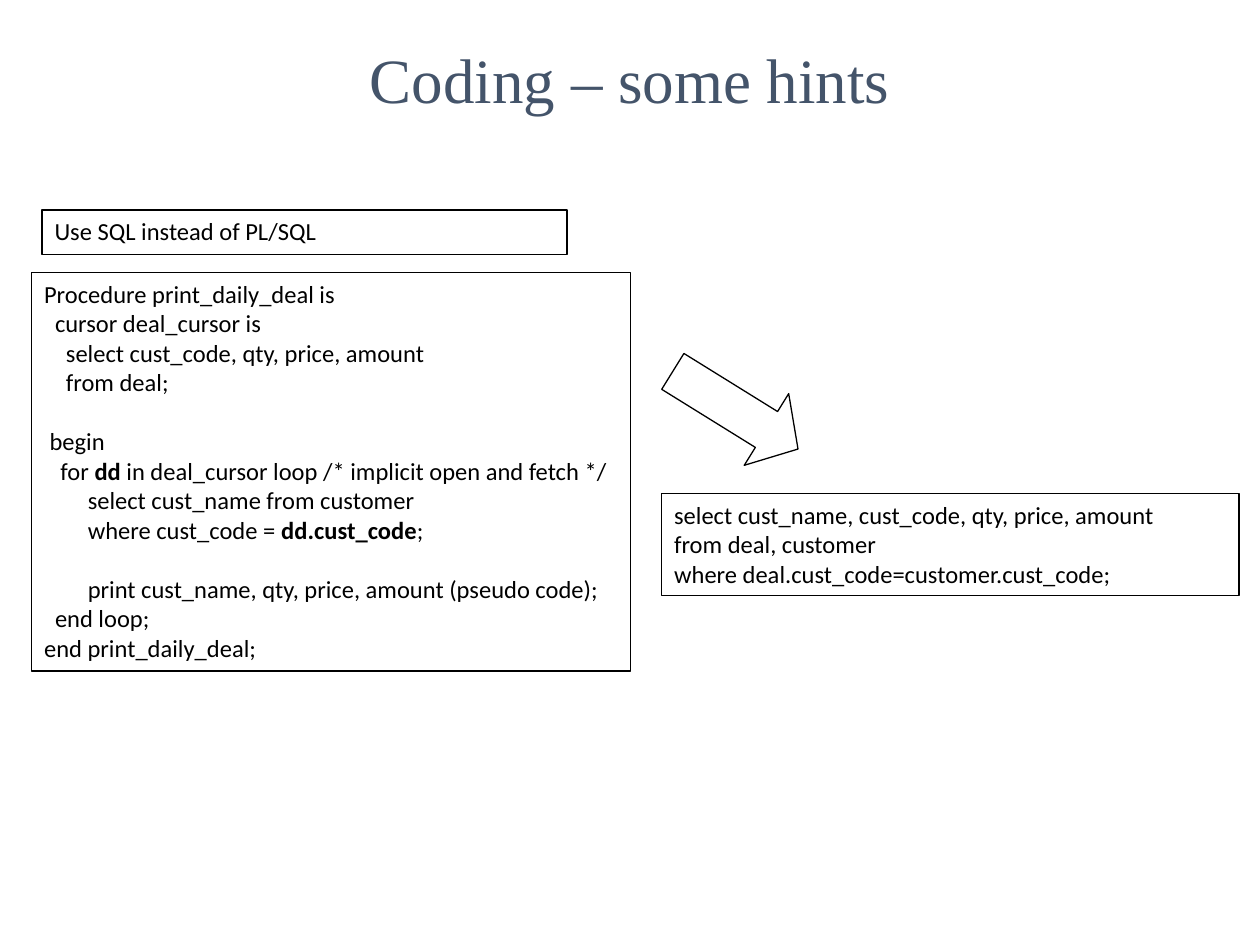
from pptx import Presentation
from pptx.dml.color import RGBColor
from pptx.enum.shapes import MSO_SHAPE
from pptx.enum.text import MSO_ANCHOR, MSO_AUTO_SIZE, PP_ALIGN
from pptx.util import Cm, Pt

SPACE_CM = 0.11
BLANK_LINE_PT = 17

HINT = [(0, 0, "Use SQL instead of PL/SQL")]

JOIN_QUERY = [
    (0, 0, "select cust_name, cust_code, qty, price, amount"),
    (0, 0, "from deal, customer"),
    (0, 0, "where deal.cust_code=customer.cust_code;"),
]

PROCEDURE = [
    (0, 0, "Procedure print_daily_deal is"),
    (2, 0, "cursor deal_cursor is"),
    (4, 0, "select cust_code, qty, price, amount"),
    (4, 0, "from deal;"),
    (1, 1, "begin"),
    (3, 0, "for |dd| in deal_cursor loop /* implicit open and fetch */"),
    (8, 0, "select cust_name from customer"),
    (8, 0, "where cust_code = |dd.cust_code|;"),
    (8, 1, "print cust_name, qty, price, amount (pseudo code);"),
    (2, 0, "end loop;"),
    (0, 0, "end print_daily_deal;"),
]


def color(value):
    return RGBColor.from_string(value)


class SlideBuilder:
    title_font, title_size, title_color = "Times New Roman", 36, "44546A"
    body_font, body_size, ink = "Calibri", 14, "000000"

    def __init__(self, slide):
        self.s = slide

    def set_font(self, p, name, size, value):
        p.font.name = name
        p.font.size = Pt(size)
        p.font.color.rgb = color(value)

    def title(self, text, left, top, width, height):
        sp = self.s.shapes.title
        sp.left, sp.top, sp.width, sp.height = map(Cm, (left, top, width, height))
        tf = sp.text_frame
        tf.text = text
        tf.auto_size = MSO_AUTO_SIZE.NONE
        tf.vertical_anchor = MSO_ANCHOR.MIDDLE
        p = tf.paragraphs[0]
        p.alignment = PP_ALIGN.CENTER
        self.set_font(p, self.title_font, self.title_size, self.title_color)

    def outline(self, kind, left, top, width, height, weight=0.75):
        sp = self.s.shapes.add_shape(kind, *map(Cm, (left, top, width, height)))
        sp.shadow.inherit = False
        sp.fill.background()
        sp.line.color.rgb = color(self.ink)
        sp.line.width = Pt(weight)
        return sp

    def code_box(self, lines, left, top, width, height, weight=0.75):
        sp = self.outline(MSO_SHAPE.RECTANGLE, left, top, width, height, weight)
        tf = sp.text_frame
        tf.word_wrap = True
        tf.auto_size = MSO_AUTO_SIZE.SHAPE_TO_FIT_TEXT
        tf.vertical_anchor = MSO_ANCHOR.TOP
        for i, (indent, blanks, text) in enumerate(lines):
            p = tf.paragraphs[0] if i == 0 else tf.add_paragraph()
            p.alignment = PP_ALIGN.LEFT
            p.space_before = Pt(blanks * BLANK_LINE_PT)
            p._p.get_or_add_pPr().set("marL", str(Cm(indent * SPACE_CM)))
            self.set_font(p, self.body_font, self.body_size, self.ink)
            for j, part in enumerate(text.split("|")):
                r = p.add_run()
                r.text = part
                if j % 2:
                    r.font.bold = True

    def block_arrow(self, left, top, width, height, rotation, head):
        sp = self.outline(MSO_SHAPE.RIGHT_ARROW, left, top, width, height)
        sp.rotation = rotation
        sp.adjustments[1] = head


def main():
    prs = Presentation()
    prs.slide_width, prs.slide_height = Cm(25.4), Cm(19.05)
    b = SlideBuilder(prs.slides.add_slide(prs.slide_layouts[5]))
    b.code_box(HINT, 0.85, 4.23, 10.58, 0.9, weight=1)
    b.title("Coding – some hints", 4.12, 0.94, 17.15, 1.27)
    b.block_arrow(13.34, 7.42, 2.97, 1.7, rotation=31.8, head=0.44)
    b.code_box(JOIN_QUERY, 13.34, 9.95, 11.64, 2.06)
    b.code_box(PROCEDURE, 0.64, 5.5, 12.07, 8.03)
    prs.save("out.pptx")


if __name__ == "__main__":
    main()
